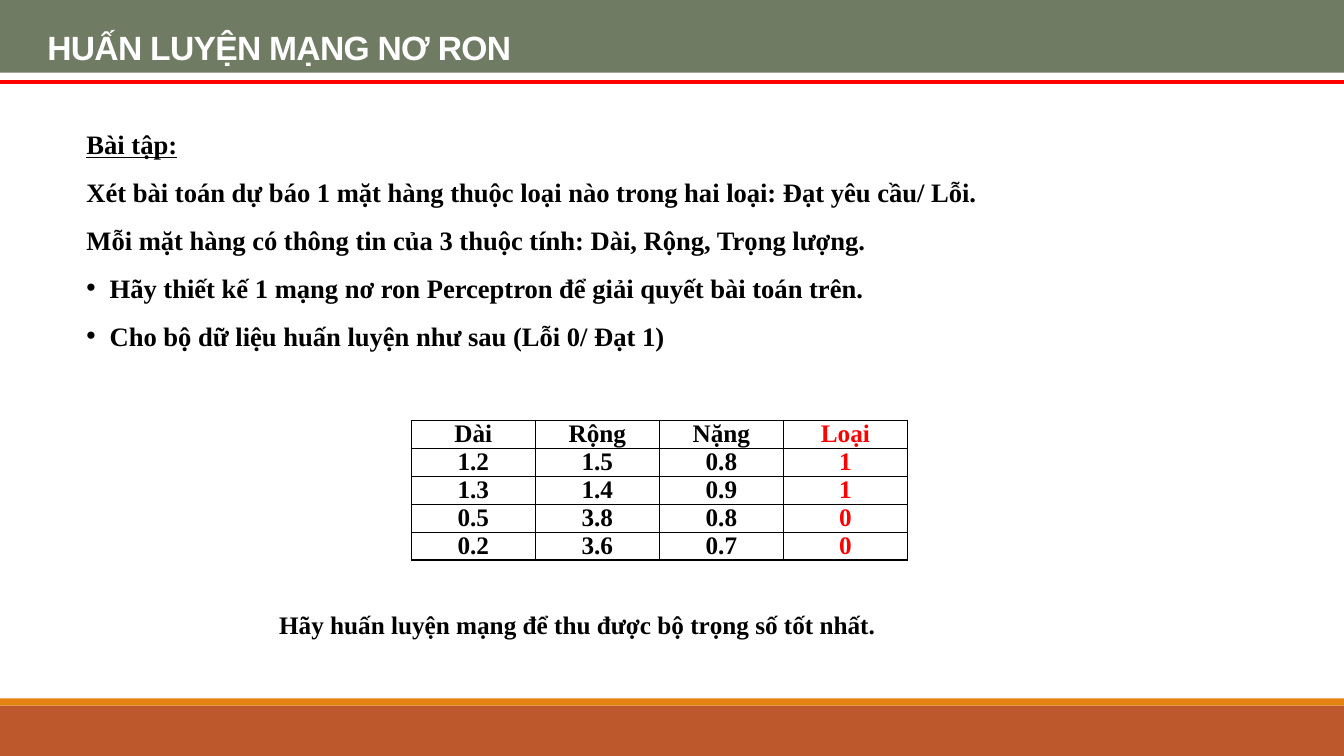
from lxml.etree import SubElement
from pptx import Presentation
from pptx.dml.color import RGBColor
from pptx.enum.shapes import MSO_CONNECTOR, MSO_SHAPE
from pptx.enum.text import MSO_ANCHOR, PP_ALIGN
from pptx.oxml.ns import qn
from pptx.util import Inches, Pt

BLACK = RGBColor(0x00, 0x00, 0x00)
WHITE = RGBColor(0xFF, 0xFF, 0xFF)
RED = RGBColor(0xFF, 0x00, 0x00)
SAGE = RGBColor(0x6F, 0x7B, 0x63)
RUST = RGBColor(0xBD, 0x58, 0x2C)
ORANGE = RGBColor(0xE4, 0x83, 0x12)
SERIF = "Times New Roman"


def style(font, size, color=BLACK, name=SERIF):
    for key, value in {"name": name, "size": Pt(size), "bold": True}.items():
        setattr(font, key, value)
    font.color.rgb = color


def add_band(top, height, color):
    band = slide.shapes.add_shape(
        MSO_SHAPE.RECTANGLE, 0, Inches(top), prs.slide_width, Inches(height))
    band.shadow.inherit = False
    band.fill.solid()
    band.fill.fore_color.rgb = color
    band.line.fill.background()
    return band


prs = Presentation()
prs.slide_width = Inches(13.33)
prs.slide_height = Inches(7.5)
slide = prs.slides.add_slide(prs.slide_layouts[6])

add_band(7, 0.5, RUST)
add_band(6.93, 0.07, ORANGE)

samples = [
    ["Dài", "Rộng", "Nặng", "Loại"],
    ["1.2", "1.5", "0.8", "1"],
    ["1.3", "1.4", "0.9", "1"],
    ["0.5", "3.8", "0.8", "0"],
    ["0.2", "3.6", "0.7", "0"],
]
training_data = slide.shapes.add_table(
    5, 4, Inches(4.08), Inches(4.17), Inches(4.92), Inches(1.35)).table
cell_format = {
    "margin_left": Inches(0.07), "margin_right": Inches(0.07),
    "margin_top": 0, "margin_bottom": 0,
}
for row, sample in enumerate(samples):
    for column, value in enumerate(sample):
        cell = training_data.cell(row, column)
        for key, setting in cell_format.items():
            setattr(cell, key, setting)
        cell.text = value
        entry = cell.text_frame.paragraphs[0]
        entry.alignment = PP_ALIGN.CENTER
        style(entry.runs[0].font, 18, RED if column == 3 else BLACK)
        properties = cell._tc.get_or_add_tcPr()
        for side in ("a:lnL", "a:lnR", "a:lnT", "a:lnB"):
            border = SubElement(properties, qn(side), w=str(Pt(1)))
            paint = SubElement(border, qn("a:solidFill"))
            SubElement(paint, qn("a:srgbClr"), val=str(BLACK))
        cell.fill.background()

exercise = slide.shapes.add_textbox(
    Inches(0.76), Inches(1.05), Inches(9.33), Inches(2.5)).text_frame
exercise.word_wrap = True
exercise.vertical_anchor = MSO_ANCHOR.MIDDLE
statements = [
    ("Bài tập:", False),
    ("Xét bài toán dự báo 1 mặt hàng thuộc loại nào trong hai loại: Đạt yêu cầu/ Lỗi. "
     "Mỗi mặt hàng có thông tin của 3 thuộc tính: Dài, Rộng, Trọng lượng.", False),
    ("Hãy thiết kế 1 mạng nơ ron Perceptron để giải quyết bài toán trên.", True),
    ("Cho bộ dữ liệu huấn luyện như sau (Lỗi 0/ Đạt 1)", True),
]
for index, (wording, bulleted) in enumerate(statements):
    statement = exercise.paragraphs[0] if index == 0 else exercise.add_paragraph()
    statement.line_spacing = 1.5
    if bulleted:
        layout = statement._p.get_or_add_pPr()
        layout.set("marL", str(Inches(0.23)))
        layout.set("indent", str(-Inches(0.23)))
        SubElement(layout, qn("a:buFont"), typeface="Arial")
        SubElement(layout, qn("a:buChar"), char="•")
    run = statement.add_run()
    run.text = wording
    style(run.font, 19)
    run.font.underline = index == 0

request = slide.shapes.add_textbox(
    Inches(2.67), Inches(6), Inches(8.33), Inches(0.4)).text_frame
request.word_wrap = True
request.text = "Hãy huấn luyện mạng để thu được bộ trọng số tốt nhất."
style(request.paragraphs[0].runs[0].font, 18)

heading = add_band(0, 0.72, SAGE).text_frame
heading.vertical_anchor = MSO_ANCHOR.TOP
heading.margin_left = Inches(0.47)
heading.margin_top = Inches(0.07)
title = heading.paragraphs[0]
title.alignment = PP_ALIGN.LEFT
title.line_spacing = 1.5
title_run = title.add_run()
title_run.text = "HUẤN LUYỆN MẠNG NƠ RON"
style(title_run.font, 24, WHITE, "Arial")
title_run.font._element.set("spc", "-50")

rule = slide.shapes.add_connector(
    MSO_CONNECTOR.STRAIGHT, 0, Inches(0.81), prs.slide_width, Inches(0.81))
rule.line.color.rgb = RED
rule.line.width = Pt(3)
SubElement(rule._element.spPr, qn("a:effectLst"))

prs.save("out.pptx")
